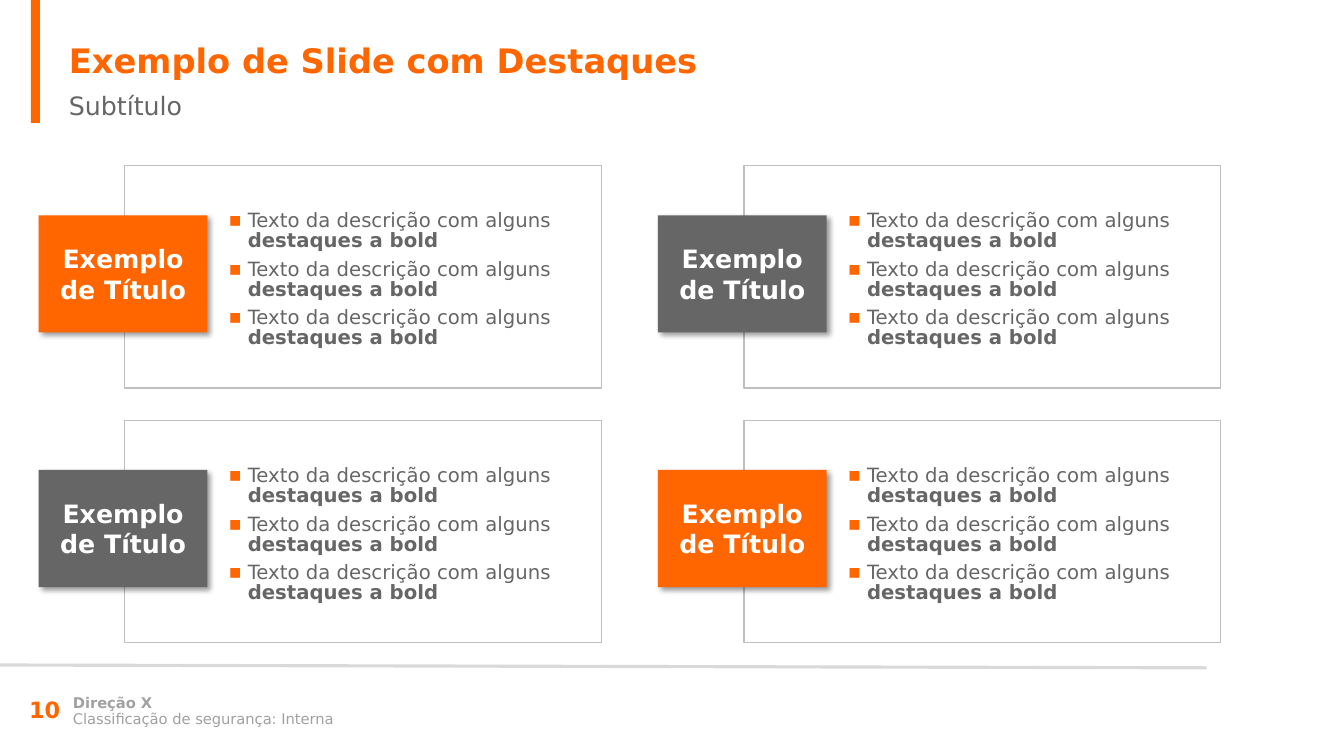
from lxml import etree
from pptx import Presentation
from pptx.dml.color import RGBColor
from pptx.enum import shapes, text
from pptx.oxml import parse_xml
from pptx.oxml.ns import nsdecls, qn
from pptx.util import Pt

ORANGE = RGBColor(0xFF, 0x66, 0x00)
GRAY = RGBColor(0x66, 0x66, 0x66)
FOOTER_GRAY = RGBColor(0xA1, 0xA1, 0xA1)
RULE_GRAY = RGBColor(0xD9, 0xD9, 0xD9)
FRAME_GRAY = RGBColor(0xBF, 0xBF, 0xBF)
WHITE = RGBColor(0xFF, 0xFF, 0xFF)
FONT = "DejaVu Sans"
MIDDLE = text.MSO_ANCHOR.MIDDLE


def add_rect(slide, x, y, w, h, fill=None, line=None):
    sp = slide.shapes.add_shape(shapes.MSO_SHAPE.RECTANGLE, Pt(x), Pt(y), Pt(w), Pt(h))
    sp.shadow.inherit = False
    if fill is None:
        sp.fill.background()
    else:
        sp.fill.solid()
        sp.fill.fore_color.rgb = fill
    if line is None:
        sp.line.fill.background()
    else:
        sp.line.color.rgb = line
        sp.line.width = Pt(1)
    return sp


def add_box(slide, x, y, w, h, anchor=text.MSO_ANCHOR.TOP):
    tf = slide.shapes.add_textbox(Pt(x), Pt(y), Pt(w), Pt(h)).text_frame
    tf.word_wrap = True
    tf.vertical_anchor = anchor
    return tf


def add_run(p, words, size, color, bold=False):
    r = p.add_run()
    r.text = words
    r.font.name = FONT
    r.font.size = Pt(size)
    r.font.bold = bold
    r.font.color.rgb = color


def set_spacing(p, line=None, before=0, after=0):
    p.line_spacing = line
    p.space_before = Pt(before)
    p.space_after = Pt(after)


def add_bullet(p):
    pPr = p._p.get_or_add_pPr()
    pPr.set("marL", str(Pt(13.7)))
    pPr.set("indent", str(-Pt(13.7)))
    color = etree.SubElement(pPr, qn("a:buClr"))
    etree.SubElement(color, qn("a:srgbClr"), val=str(ORANGE))
    etree.SubElement(pPr, qn("a:buFont"), typeface=FONT)
    etree.SubElement(pPr, qn("a:buChar"), char="▪")


def add_shadow(sp):
    effects = sp._element.spPr.find(qn("a:effectLst"))
    effects.append(parse_xml(
        f'<a:outerShdw {nsdecls("a")} blurRad="{Pt(4)}" dist="{Pt(3)}" dir="2700000" '
        'algn="tl" rotWithShape="0"><a:srgbClr val="000000"><a:alpha val="40000"/>'
        '</a:srgbClr></a:outerShdw>'))


def header(slide, x, y, w, h):
    add_rect(slide, x, y, 6.5, h, ORANGE)
    title = add_box(slide, x + 20, y + 24.5, w, 36)
    add_run(title.paragraphs[0], "Exemplo de Slide com Destaques", 24, ORANGE, True)
    subtitle = add_box(slide, x + 20, y + 60.5, w, 29)
    add_run(subtitle.paragraphs[0], "Subtítulo", 18, GRAY)


def card(slide, x, y, w, h, color):
    # Frame
    add_rect(slide, x + 61.2, y, w - 61.2, h, line=FRAME_GRAY)

    # Description
    tf = add_box(slide, x + 128.2, y + 15.8, 266.4, 131.8, MIDDLE)
    for i in range(3):
        p = tf.add_paragraph() if i else tf.paragraphs[0]
        set_spacing(p, line=0.85, after=6)
        add_bullet(p)
        add_run(p, "Texto da descrição com alguns ", 14, GRAY)
        add_run(p, "destaques a bold", 14, GRAY, True)

    # Title badge
    badge = add_rect(slide, x, y + 35.3, 120.2, 83.5, color)
    add_shadow(badge)
    tf = badge.text_frame
    tf.word_wrap = True
    tf.vertical_anchor = MIDDLE
    p = tf.paragraphs[0]
    p.alignment = text.PP_ALIGN.CENTER
    set_spacing(p, before=6, after=4)
    add_run(p, "Exemplo de Título", 18, WHITE, True)


def footer(slide, x, y, w):
    # Rule
    rule = slide.shapes.add_connector(
        shapes.MSO_CONNECTOR.STRAIGHT, Pt(x), Pt(y), Pt(x + w), Pt(y + 2))
    rule.line.color.rgb = RULE_GRAY
    rule.line.width = Pt(2.25)
    etree.SubElement(rule._element.spPr, qn("a:effectLst"))

    # Page number
    number = add_box(slide, x + 13.7, y + 17.3, 49.7, 28.8, MIDDLE)
    add_run(number.paragraphs[0], "10", 16, ORANGE, True)

    # Department and classification
    lines = [("Direção X", True), ("Classificação de segurança: Interna", False)]
    for i, (words, bold) in enumerate(lines):
        p = add_box(slide, x + 44.9, y + 18.7 + 11.1 * i, 542, 18, MIDDLE).paragraphs[0]
        set_spacing(p, line=0.85, before=6, after=4)
        add_run(p, words, 10.5, FOOTER_GRAY, bold)


def main():
    prs = Presentation()
    prs.slide_width, prs.slide_height = Pt(957.6), Pt(538.6)
    slide = prs.slides.add_slide(prs.slide_layouts[6])

    header(slide, 22, 0, 894, 87.5)
    # Two by two cards in alternating colours
    for col in range(2):
        for row in range(2):
            card(slide, 27.6 + 441.2 * col, 118.1 + 181.4 * row, 401, 158.4,
                 GRAY if (col + row) % 2 else ORANGE)
    footer(slide, 0, 473.8, 859.7)

    prs.save("out.pptx")


if __name__ == "__main__":
    main()
